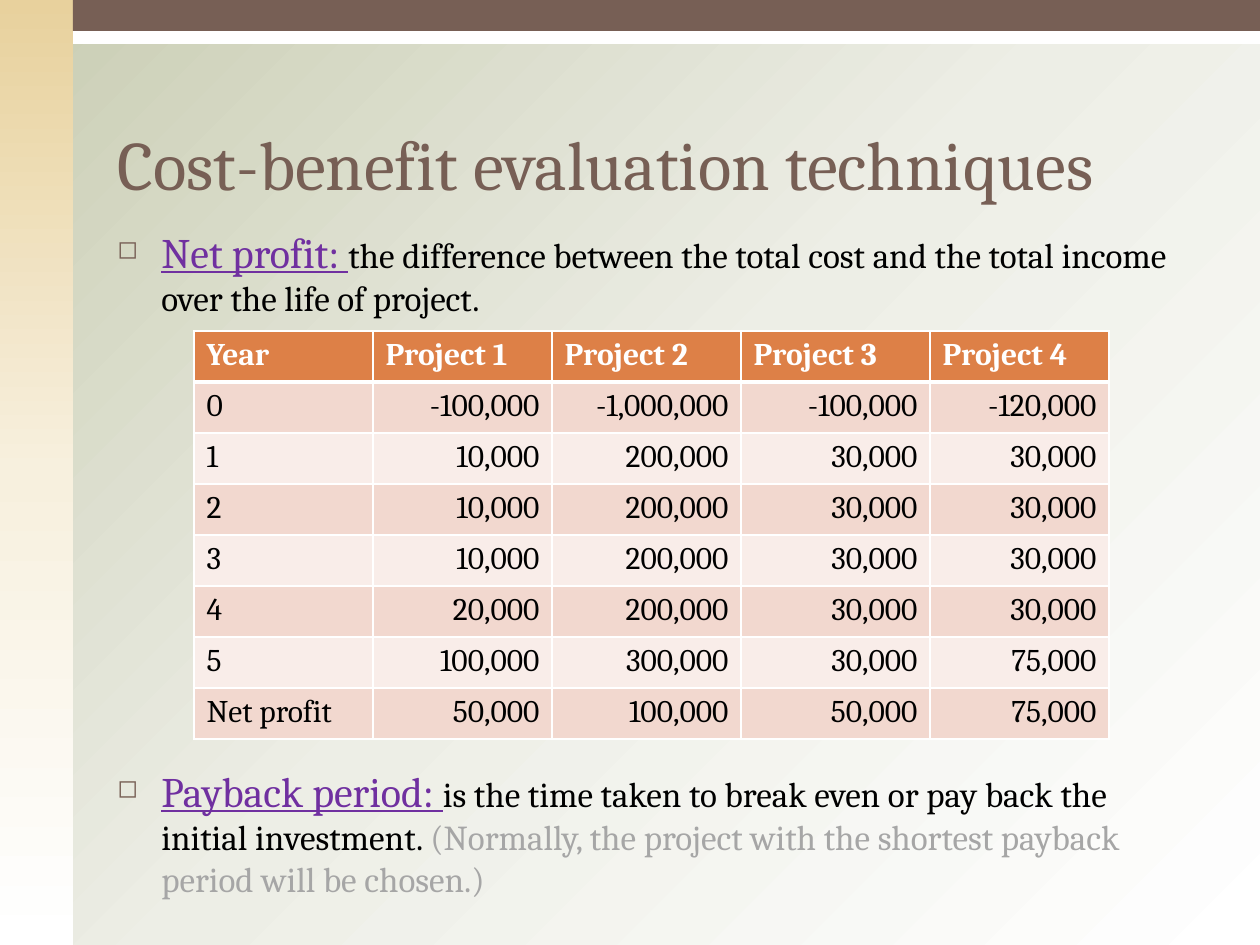
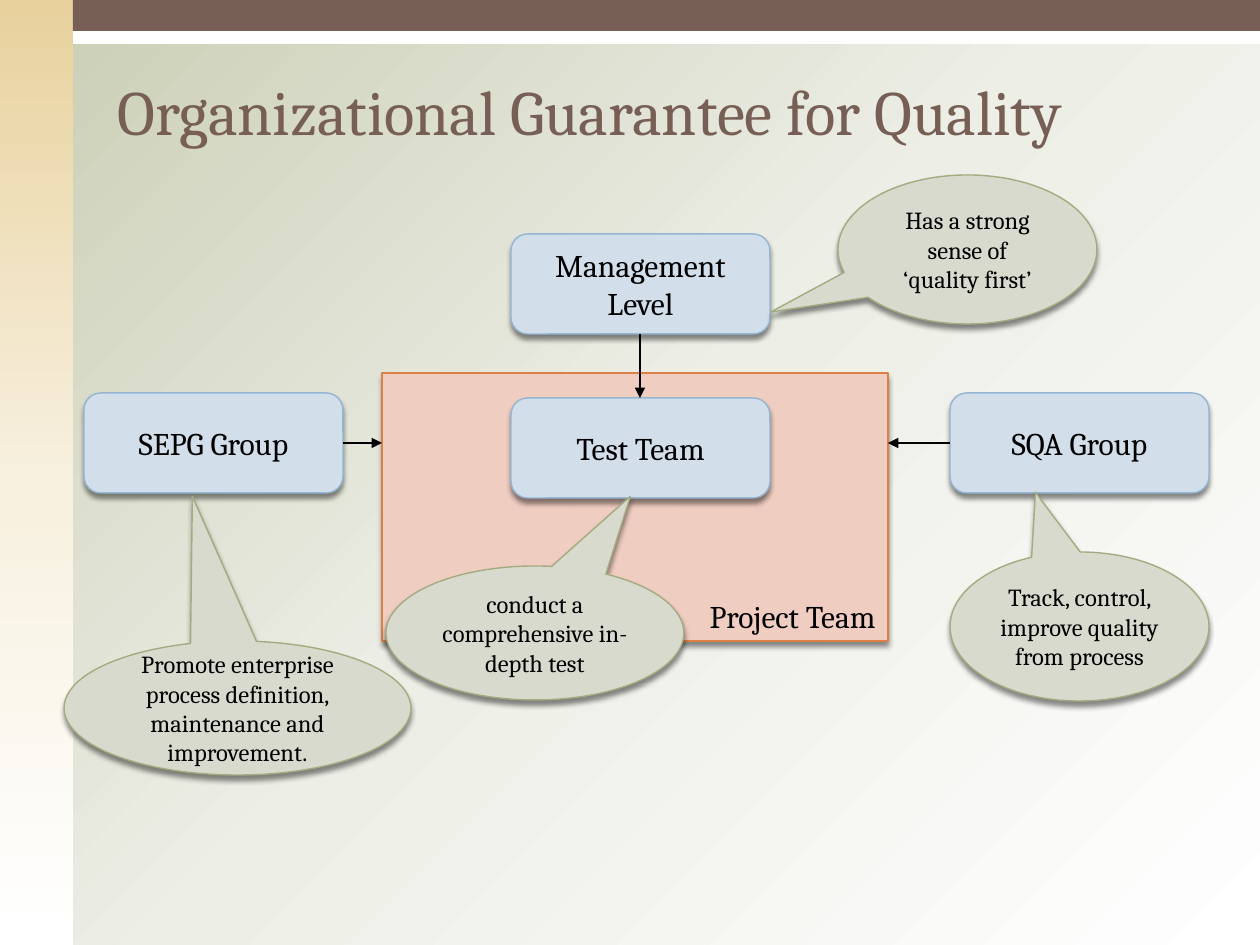
from pptx import Presentation
from pptx.dml.color import RGBColor
from pptx.enum.shapes import MSO_CONNECTOR, MSO_SHAPE
from pptx.enum.text import MSO_ANCHOR, PP_ALIGN
from pptx.oxml import parse_xml
from pptx.oxml.ns import nsdecls, qn
from pptx.util import Emu, Pt

PX = 914400 / 126
PAGE_W, PAGE_H = 1260, 945
FONT = "Cambria"

BROWN = RGBColor(0x77, 0x5F, 0x55)
WHITE = RGBColor(0xFF, 0xFF, 0xFF)
BLACK = RGBColor(0x00, 0x00, 0x00)
PURPLE = RGBColor(0x70, 0x30, 0xA0)
GREY = RGBColor(0xA6, 0xA6, 0xA6)
ORANGE = RGBColor(0xDD, 0x80, 0x47)
ROW_DARK = RGBColor(0xF2, 0xD8, 0xCF)
ROW_LIGHT = RGBColor(0xF9, 0xED, 0xE9)
PINK = RGBColor(0xEF, 0xCD, 0xC1)
BLUE_FILL = RGBColor(0xD2, 0xDE, 0xEA)
BLUE_LINE = RGBColor(0x94, 0xB6, 0xD2)
GREEN_FILL = RGBColor(0xD8, 0xDA, 0xCD)
GREEN_LINE = RGBColor(0xA5, 0xAB, 0x81)
PAGE_STOPS = (RGBColor(0xC9, 0xCD, 0xB3), RGBColor(0xED, 0xEE, 0xE6), WHITE)
SIDE_STOPS = (RGBColor(0xE8, 0xD1, 0x9D), RGBColor(0xF7, 0xF0, 0xDE), WHITE)

RECT = MSO_SHAPE.RECTANGLE
ROUNDED = MSO_SHAPE.ROUNDED_RECTANGLE
CALLOUT = MSO_SHAPE.OVAL_CALLOUT
STRAIGHT = MSO_CONNECTOR.STRAIGHT
LEFT, CENTER, RIGHT = PP_ALIGN.LEFT, PP_ALIGN.CENTER, PP_ALIGN.RIGHT
TOP, MIDDLE, BOTTOM = MSO_ANCHOR.TOP, MSO_ANCHOR.MIDDLE, MSO_ANCHOR.BOTTOM

TABLE_ROWS = [
    ("Year", "Project 1", "Project 2", "Project 3", "Project 4"),
    ("0", "-100,000", "-1,000,000", "-100,000", "-120,000"),
    ("1", "10,000", "200,000", "30,000", "30,000"),
    ("2", "10,000", "200,000", "30,000", "30,000"),
    ("3", "10,000", "200,000", "30,000", "30,000"),
    ("4", "20,000", "200,000", "30,000", "30,000"),
    ("5", "100,000", "300,000", "30,000", "75,000"),
    ("Net profit", "50,000", "100,000", "50,000", "75,000"),
]
COLUMN_WIDTHS = (179, 179, 189, 189, 179)
ROW_HEIGHT = 51
NODE_W, NODE_H = 259, 100


def px(*lengths):
    return [Emu(round(length * PX)) for length in lengths]


def add_span(para, text, size=18, color=BLACK, bold=False, underline=False):
    span = para.add_run()
    span.text = text
    font = span.font
    font.name, font.size, font.color.rgb = FONT, Pt(size), color
    font.bold, font.underline = bold, underline


def write(frame, text, align=LEFT, anchor=TOP, **style):
    frame.word_wrap = True
    frame.vertical_anchor = anchor
    para = frame.paragraphs[0]
    para.alignment = align
    add_span(para, text, **style)


def set_gradient(element, colors, angle):
    """Replace the solid fill inside element with evenly spaced stops."""
    step = 100000 // (len(colors) - 1)
    stops = "".join(
        f'<a:gs pos="{i * step}"><a:srgbClr val="{color}"/></a:gs>'
        for i, color in enumerate(colors))
    solid = next(element.iter(qn("a:solidFill")))
    solid.getparent().replace(solid, parse_xml(
        f'<a:gradFill {nsdecls("a")} rotWithShape="1"><a:gsLst>{stops}</a:gsLst>'
        f'<a:lin ang="{angle * 60000}" scaled="0"/></a:gradFill>'))


def add_block(page, kind, box, fill, line=None):
    shape = page.shapes.add_shape(kind, *px(*box))
    shape.shadow.inherit = False
    shape.fill.solid()
    shape.fill.fore_color.rgb = fill
    if line is None:
        shape.line.fill.background()
    else:
        shape.line.color.rgb = line
        shape.line.width = Pt(0.79)
    return shape


def add_shadowed(page, kind, box, fill, line):
    shape = add_block(page, kind, box, fill, line)
    effects = shape.element.spPr.find(qn("a:effectLst"))
    effects.append(parse_xml(
        f'<a:outerShdw {nsdecls("a")} blurRad="{Pt(3)}" dist="{Pt(2.4)}" '
        'dir="5400000" algn="ctr" rotWithShape="0"><a:srgbClr val="000000">'
        '<a:alpha val="45000"/></a:srgbClr></a:outerShdw>'))
    return shape


def add_page(deck, title, title_top, title_size):
    page = deck.slides.add_slide(deck.slide_layouts[6])
    page.background.fill.solid()
    page.background.fill.fore_color.rgb = WHITE
    set_gradient(page.element, PAGE_STOPS, 45)

    # Bands along the top and left edges
    side = 73
    add_block(page, RECT, (0, 0, PAGE_W, 44), WHITE)
    panel = add_block(page, RECT, (0, 0, side, PAGE_H), WHITE)
    set_gradient(panel.element.spPr, SIDE_STOPS, 90)
    add_block(page, RECT, (side, 0, PAGE_W - side, 31), BROWN)

    # Title
    box = page.shapes.add_textbox(*px(105, title_top, 1102, 158))
    write(box.text_frame, title, anchor=BOTTOM, size=title_size, color=BROWN)
    return page


def add_definition(page, box, term, meaning, remark=""):
    frame = page.shapes.add_textbox(*px(*box)).text_frame
    frame.word_wrap = True
    para = frame.paragraphs[0]
    props = para._p.get_or_add_pPr()
    indent = px(44)[0]
    props.set("marL", str(indent))
    props.set("indent", str(-indent))
    for bullet in (f'<a:buClr {nsdecls("a")}><a:srgbClr val="{BROWN}"/></a:buClr>',
                   f'<a:buSzPct {nsdecls("a")} val="60000"/>',
                   f'<a:buChar {nsdecls("a")} char="◻"/>'):
        props.append(parse_xml(bullet))
    add_span(para, term, size=24, color=PURPLE, underline=True)
    add_span(para, meaning, size=20)
    if remark:
        add_span(para, remark, size=20, color=GREY)


def set_borders(cell, **widths):
    props = cell._tc.get_or_add_tcPr()
    for place, side in enumerate("LRTB"):
        props.insert(place, parse_xml(
            f'<a:ln{side} {nsdecls("a")} w="{Pt(widths.get(side, 1))}">'
            f'<a:solidFill><a:srgbClr val="{WHITE}"/></a:solidFill></a:ln{side}>'))


def add_profit_table(page, left, top):
    size = sum(COLUMN_WIDTHS), ROW_HEIGHT * len(TABLE_ROWS)
    table = page.shapes.add_table(
        len(TABLE_ROWS), len(COLUMN_WIDTHS), *px(left, top, *size)).table
    for column, width in zip(table.columns, px(*COLUMN_WIDTHS)):
        column.width = width
    for r, values in enumerate(TABLE_ROWS):
        header = r == 0
        fill = ORANGE if header else ROW_DARK if r % 2 else ROW_LIGHT
        for c, value in enumerate(values):
            cell = table.cell(r, c)
            cell.fill.solid()
            cell.fill.fore_color.rgb = fill
            set_borders(cell, T=3 if r == 1 else 1, B=3 if header else 1)
            write(cell.text_frame, value, align=LEFT if header or c == 0 else RIGHT,
                  color=WHITE if header else BLACK, bold=header)


def add_node(page, left, top, text):
    node = add_shadowed(page, ROUNDED, (left, top, NODE_W, NODE_H),
                        BLUE_FILL, BLUE_LINE)
    write(node.text_frame, text, align=CENTER, anchor=MIDDLE)


def add_callout(page, box, tip, text):
    callout = add_shadowed(page, CALLOUT, box, GREEN_FILL, GREEN_LINE)
    callout.adjustments[0], callout.adjustments[1] = tip
    write(callout.text_frame, text, align=CENTER, anchor=MIDDLE, size=14)


def add_arrow(page, start, end):
    arrow = page.shapes.add_connector(STRAIGHT, *px(*start, *end))
    arrow.line.color.rgb = BLACK
    arrow.line.width = Pt(0.79)
    arrow.line._get_or_add_ln().append(
        parse_xml(f'<a:tailEnd {nsdecls("a")} type="triangle"/>'))
    arrow._element.spPr.append(parse_xml(f'<a:effectLst {nsdecls("a")}/>'))


def build_cost_benefit(deck):
    page = add_page(deck, "Cost-benefit evaluation techniques", 53, 39.6)
    add_definition(
        page, (105, 220, 1102, 110), "Net profit: ",
        "the difference between the total cost and the total income over the "
        "life of project.")
    add_definition(
        page, (105, 759, 1102, 150), "Payback period: ",
        "is the time taken to break even or pay back the initial investment. ",
        "(Normally, the project with the shortest payback period will be chosen.)")
    add_profit_table(page, 194, 331)


def build_organization(deck):
    page = add_page(deck, "Organizational Guarantee for Quality", -4, 36)
    team_left, team_top, team_w, team_h = team = (382, 373, 506, 268)
    middle_left, management_top, test_top = 511, 234, 398
    sepg_left, sqa_left, group_top = 84, 950, 393
    middle_x = middle_left + NODE_W // 2
    group_y = group_top + NODE_H // 2

    # Teams and groups
    add_node(page, middle_left, management_top, "Management Level")
    project = add_shadowed(page, RECT, team, PINK, ORANGE)
    write(project.text_frame, "Project Team", align=RIGHT, anchor=BOTTOM)
    add_node(page, middle_left, test_top, "Test Team")
    add_node(page, sepg_left, group_top, "SEPG Group")
    add_node(page, sqa_left, group_top, "SQA Group")

    # Arrows into the project team
    add_arrow(page, (middle_x, management_top + NODE_H), (middle_x, test_top))
    add_arrow(page, (sepg_left + NODE_W, group_y), (team_left, group_y))
    add_arrow(page, (sqa_left, group_y), (team_left + team_w, group_y))

    # Duties
    add_callout(page, (838, 175, NODE_W, 149), (-0.76, 0.42),
                "Has a strong sense of ‘quality first’")
    add_callout(page, (sqa_left, 552, NODE_W, 149), (-0.17, -0.9),
                "Track, control, improve quality from process")
    add_callout(page, (386, 566, 298, 134), (0.32, -1.02),
                "conduct a comprehensive in-depth test")
    add_callout(page, (64, 641, 347, 134), (-0.13, -1.58),
                "Promote enterprise process definition, maintenance and improvement.")


def main():
    deck = Presentation()
    deck.slide_width, deck.slide_height = px(PAGE_W, PAGE_H)
    build_cost_benefit(deck)
    build_organization(deck)
    deck.save("out.pptx")


if __name__ == "__main__":
    main()
